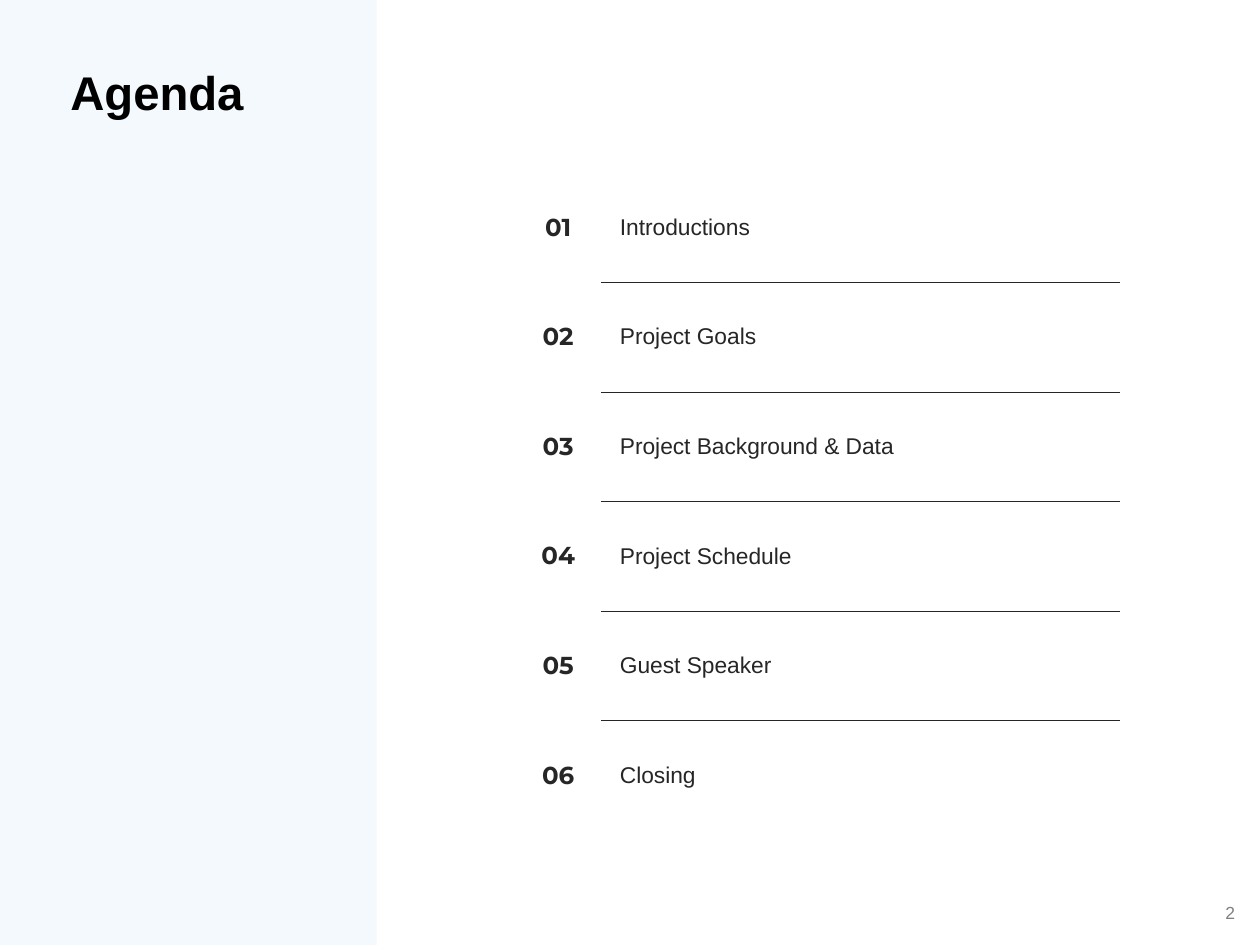
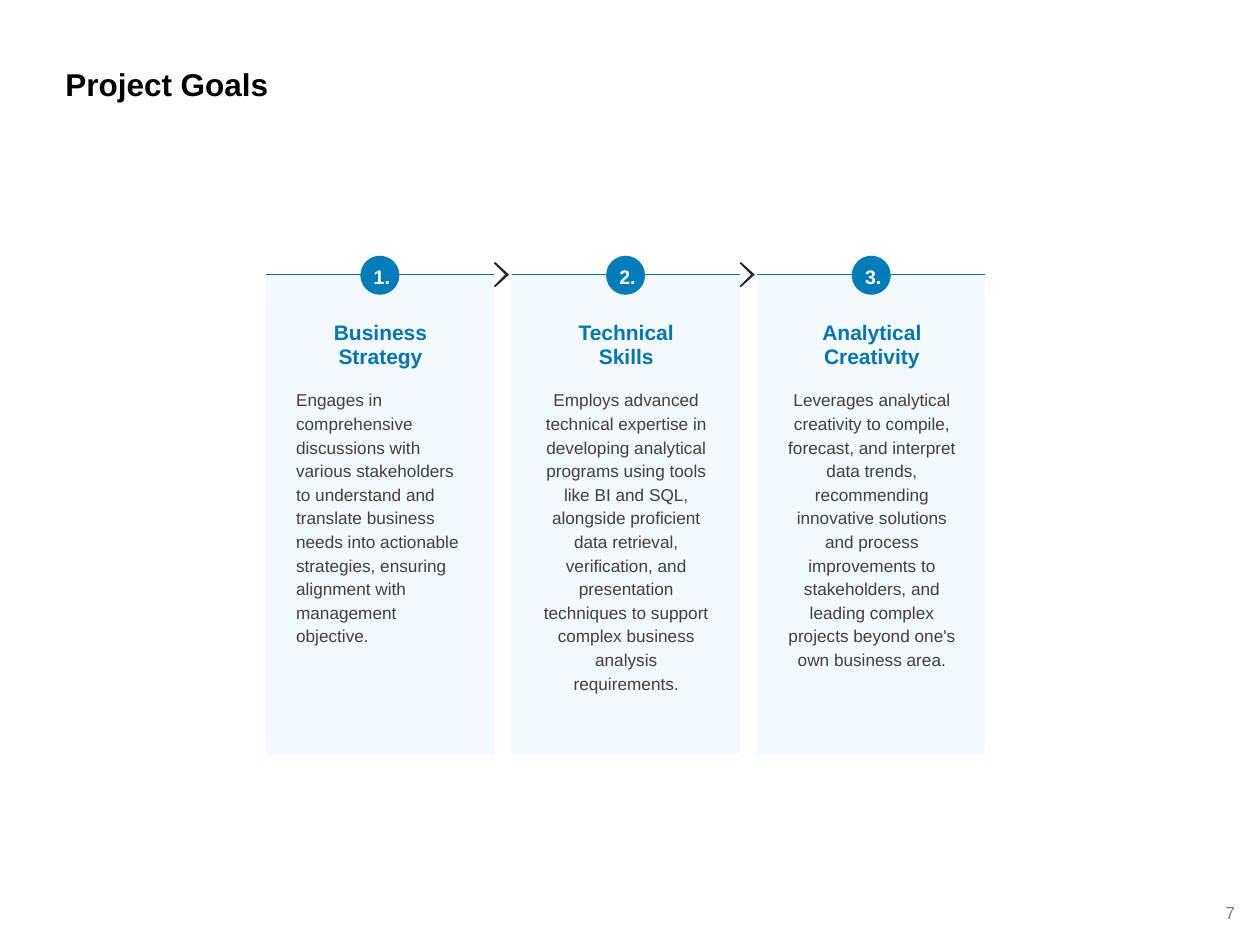
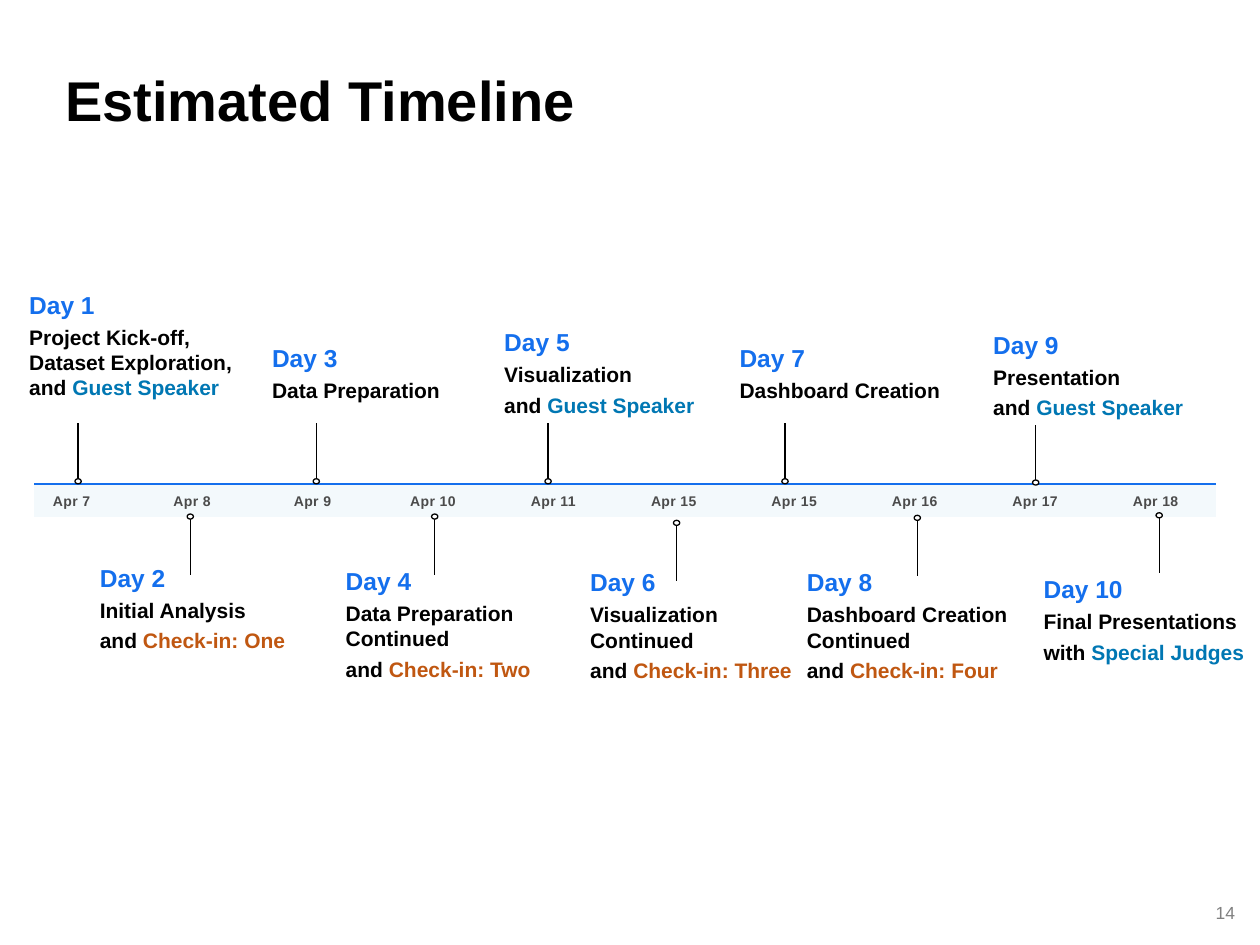
from lxml import etree
from pptx import Presentation
from pptx.dml.color import RGBColor
from pptx.enum.shapes import MSO_CONNECTOR, MSO_SHAPE
from pptx.enum.text import MSO_ANCHOR, PP_ALIGN
from pptx.oxml.ns import qn
from pptx.util import Inches, Pt

RECT, ROUND, OVAL = MSO_SHAPE.RECTANGLE, MSO_SHAPE.ROUNDED_RECTANGLE, MSO_SHAPE.OVAL
STRAIGHT = MSO_CONNECTOR.STRAIGHT
LEFT, CENTER, RIGHT = PP_ALIGN.LEFT, PP_ALIGN.CENTER, PP_ALIGN.RIGHT
MIDDLE = MSO_ANCHOR.MIDDLE

WHITE = RGBColor(0xFF, 0xFF, 0xFF)
BLACK = RGBColor(0, 0, 0)
INK = RGBColor(0x26, 0x26, 0x26)
BODY = RGBColor(0x40, 0x40, 0x40)
DATE = RGBColor(0x4B, 0x4B, 0x4B)
GRAY = RGBColor(0x80, 0x80, 0x80)
PALE = RGBColor(0xF3, 0xF9, 0xFC)
TEAL = RGBColor(0x00, 0x77, 0xB3)
BADGE = RGBColor(0x00, 0x7C, 0xB9)
BLUE = RGBColor(0x14, 0x6F, 0xED)
RUST = RGBColor(0xC0, 0x57, 0x11)

NO_TABLE_STYLE = "{2D5ABB26-0587-4C30-8999-92F81FD0307C}"

AGENDA = ["Introductions", "Project Goals", "Project Background & Data",
          "Project Schedule", "Guest Speaker", "Closing"]

GOALS = [
    ("Business Strategy", LEFT,
     "Engages in comprehensive discussions with various stakeholders to understand and "
     "translate business needs into actionable strategies, ensuring alignment with "
     "management objective."),
    ("Technical Skills", CENTER,
     "Employs advanced technical expertise in developing analytical programs using tools "
     "like BI and SQL, alongside proficient data retrieval, verification, and presentation "
     "techniques to support complex business analysis requirements."),
    ("Analytical Creativity", CENTER,
     "Leverages analytical creativity to compile, forecast, and interpret data trends, "
     "recommending innovative solutions and process improvements to stakeholders, and "
     "leading complex projects beyond one's own business area."),
]

DATES = ["Apr 7", "Apr 8", "Apr 9", "Apr 10", "Apr 11",
         "Apr 15", "Apr 15", "Apr 16", "Apr 17", "Apr 18"]

GUEST = ("Guest Speaker", TEAL)
MILESTONES = [
    ((0.08, 2.19, 1.95, 1.09), (0.62, 3.81),
     [[("Project Kick-off, Dataset Exploration, and ", BLACK), GUEST]]),
    ((0.65, 4.37, 2.47, 0.91), (1.51, 4.11),
     [[("Initial Analysis", BLACK)], [("and ", BLACK), ("Check-in: One", RUST)]]),
    ((2.03, 2.64, 1.73, 0.64), (2.51, 3.81), [[("Data Preparation", BLACK)]]),
    ((2.59, 4.38, 2, 1.14), (3.45, 4.11),
     [[("Data Preparation Continued", BLACK)], [("and ", BLACK), ("Check-in: Two", RUST)]]),
    ((3.86, 2.5, 1.87, 0.91), (4.35, 3.81),
     [[("Visualization", BLACK)], [("and ", BLACK), GUEST]]),
    ((4.53, 4.39, 2, 1.14), (5.37, 4.16),
     [[("Visualization Continued", BLACK)], [("and ", BLACK), ("Check-in: Three", RUST)]]),
    ((5.74, 2.64, 1.96, 0.64), (6.23, 3.81), [[("Dashboard Creation", BLACK)]]),
    ((6.25, 4.39, 2, 1.14), (7.28, 4.12),
     [[("Dashboard Creation Continued", BLACK)], [("and ", BLACK), ("Check-in: Four", RUST)]]),
    ((7.74, 2.52, 1.87, 0.91), (8.22, 3.82),
     [[("Presentation", BLACK)], [("and ", BLACK), GUEST]]),
    ((8.14, 4.46, 2, 0.91), (9.2, 4.1),
     [[("Final Presentations", BLACK)], [("with ", BLACK), ("Special Judges", TEAL)]]),
]

CHEVRON = [(0.01, -0.1), (0.12, 0), (0.01, 0.1), (0, 0.09), (0.09, 0), (0, -0.09)]


def apply(target, values):
    for attribute, value in values.items():
        setattr(target, attribute, value)


def font(size, color, bold=False, name="Arial"):
    return {"size": Pt(size), "bold": bold, "name": name}, color


def add_run(paragraph, text, style):
    values, color = style
    run = paragraph.add_run()
    run.text = text
    apply(run.font, values)
    run.font.color.rgb = color


def write(frame, paragraphs):
    for index, (runs, layout) in enumerate(paragraphs):
        paragraph = frame.add_paragraph() if index else frame.paragraphs[0]
        apply(paragraph, layout)
        for text, style in runs:
            for number, line in enumerate(text.splitlines()):
                if number:
                    paragraph.add_line_break()
                add_run(paragraph, line, style)


def add_text(slide, box, paragraphs, margins=None):
    frame = slide.shapes.add_textbox(*map(Inches, box)).text_frame
    frame.word_wrap = True
    apply(frame, margins or {})
    write(frame, paragraphs)


def add_block(slide, kind, box, fill=None, outline=None):
    block = slide.shapes.add_shape(kind, *map(Inches, box))
    paint(block, fill, outline)
    return block


def paint(block, fill, outline=None):
    block.shadow.inherit = False
    if fill is None:
        block.fill.background()
    else:
        block.fill.solid()
        block.fill.fore_color.rgb = fill
    if outline is None:
        block.line.fill.background()
    else:
        block.line.color.rgb = outline
        block.line.width = Pt(0.75)


def add_rule(slide, start, end, color, width):
    rule = slide.shapes.add_connector(STRAIGHT, *map(Inches, start + end))
    rule.line.color.rgb = color
    rule.line.width = Pt(width)
    etree.SubElement(rule._element.spPr, qn("a:effectLst"))


def add_grid(slide, corner, widths, heights):
    box = corner + (sum(widths), sum(heights))
    table = slide.shapes.add_table(len(heights), len(widths), *map(Inches, box)).table
    apply(table, {"first_row": False, "horz_banding": False})
    table._tbl.tblPr.find(qn("a:tableStyleId")).text = NO_TABLE_STYLE
    for column, width in zip(table.columns, widths):
        column.width = Inches(width)
    for row, height in zip(table.rows, heights):
        row.height = Inches(height)
    return table


def fill_cell(cell, text, style, align, margins, fill=None, borders=()):
    cell.vertical_anchor = MIDDLE
    sides = ("margin_left", "margin_top", "margin_right", "margin_bottom")
    apply(cell, dict(zip(sides, map(Inches, margins))))
    write(cell.text_frame, [([(text, style)], {"alignment": align})])
    if fill is None:
        cell.fill.background()
    else:
        cell.fill.solid()
        cell.fill.fore_color.rgb = fill
    properties = cell._tc.get_or_add_tcPr()
    for position, (side, color, width) in enumerate(borders):
        edge = etree.Element(qn("a:" + side), w=str(Pt(width)))
        solid = etree.SubElement(edge, qn("a:solidFill"))
        etree.SubElement(solid, qn("a:srgbClr"), val=str(color))
        properties.insert(position, edge)


def start_slide(deck, title, corner, size, page):
    slide = deck.slides.add_slide(deck.slide_layouts[6])
    add_text(slide, corner + (5.89, size / 50),
             [([(title, font(size, BLACK, True))], {})])
    add_text(slide, (9.34, 7.11, 0.56, 0.3),
             [([(page, font(10, GRAY))], {"alignment": RIGHT})])
    return slide


def build_agenda(deck):
    slide = start_slide(deck, "Agenda", (0.46, 0.45), 27, "2")
    band = add_block(slide, RECT, (0, 0, 2.99, 7.5), PALE)
    slide.shapes._spTree.insert(2, band._element)
    last = len(AGENDA) - 1
    table = add_grid(slide, (4.09, 1.37), [0.68, 4.12], [0.87] * len(AGENDA))
    for row, topic in enumerate(AGENDA):
        borders = [(side, INK, 0.25) for side, shown in
                   (("lnT", row > 0), ("lnB", row < last)) if shown]
        fill_cell(table.cell(row, 0), f"{row + 1:02}", font(14, INK, True, "Montserrat"),
                  CENTER, (0.07, 0.04, 0.07, 0.04))
        fill_cell(table.cell(row, 1), topic, font(13, INK), LEFT,
                  (0.15, 0.04, 0.07, 0.04), borders=borders)


def build_goals(deck):
    slide = start_slide(deck, "Project Goals", (0.42, 0.47), 18, "7")
    first, pitch, width, top = 2.11, 1.95, 1.81, 2.18
    margins = {"margin_left": Inches(0.07), "margin_right": Inches(0.07),
               "margin_top": Inches(0.04), "margin_bottom": Inches(0.04)}
    for index, (heading, align, detail) in enumerate(GOALS):
        left = first + index * pitch
        right = left + width
        add_block(slide, RECT, (left, top, width, 3.81), PALE)
        add_text(slide, (left + 0.17, 2.51, 1.48, 3.14), [
            ([("\n".join(heading.split()), font(12, TEAL, True))],
             {"alignment": CENTER, "line_spacing": Pt(13.7)}),
            ([(detail, font(9.8, BODY))],
             {"alignment": align, "line_spacing": Pt(13.5),
              "space_before": Pt(10), "space_after": Pt(4.5)}),
        ], margins)
        add_rule(slide, (left, top), (right, top), TEAL, 0.5)
        add_block(slide, OVAL, (left + 0.75, 2.03, 0.31, 0.31), BADGE)
        add_text(slide, (left + 0.03, 2.05, 1.78, 0.28),
                 [([(f"{index + 1}.", font(11.2, WHITE, True))],
                   {"alignment": CENTER, "line_spacing": Pt(13.5)})])
        if index < len(GOALS) - 1:
            points = [(Inches(right + x), Inches(top + y)) for x, y in CHEVRON]
            outline = slide.shapes.build_freeform(*points[0])
            outline.add_line_segments(points[1:], close=True)
            paint(outline.convert_to_shape(), INK)


def build_timeline(deck):
    slide = start_slide(deck, "Estimated Timeline", (0.42, 0.47), 32, "14")
    table = add_grid(slide, (0.09, 3.84), [9.56 / len(DATES)] * len(DATES), [0.28])
    for column, date in enumerate(DATES):
        cell = table.cell(0, column)
        fill_cell(cell, date, font(8, DATE, True), CENTER, (0, 0, 0, 0), PALE,
                  [("lnT", BLUE, 1.5), ("lnB", WHITE, 3)])
        cell.text_frame.paragraphs[0].runs[0].font._element.set("spc", "20")
    add_block(slide, RECT, (0.04, 3.66, 0.23, 0.49), WHITE)
    layout = {"alignment": LEFT, "space_after": Pt(3)}
    dot_width, dot_height = 0.05, 0.04
    for day, (box, (x, y), lines) in enumerate(MILESTONES, 1):
        direction = -1 if day % 2 else 1
        add_rule(slide, (x, y), (x, y + direction * 0.45), BLACK, 0.75)
        dot_top = y - direction * 0.01 - dot_height / 2
        add_block(slide, OVAL, (x - dot_width / 2, dot_top, dot_width, dot_height),
                  WHITE, BLACK)
        frame = add_block(slide, ROUND, box).text_frame
        apply(frame, {"word_wrap": True, "vertical_anchor": MIDDLE})
        write(frame, [([(f"Day {day}", font(14, BLUE, True))], layout)] + [
            ([(text, font(12, color, True)) for text, color in line], layout)
            for line in lines])


def main():
    deck = Presentation()
    deck.slide_width, deck.slide_height = Inches(10), Inches(7.5)
    build_agenda(deck)
    build_goals(deck)
    build_timeline(deck)
    deck.save("out.pptx")


if __name__ == "__main__":
    main()
